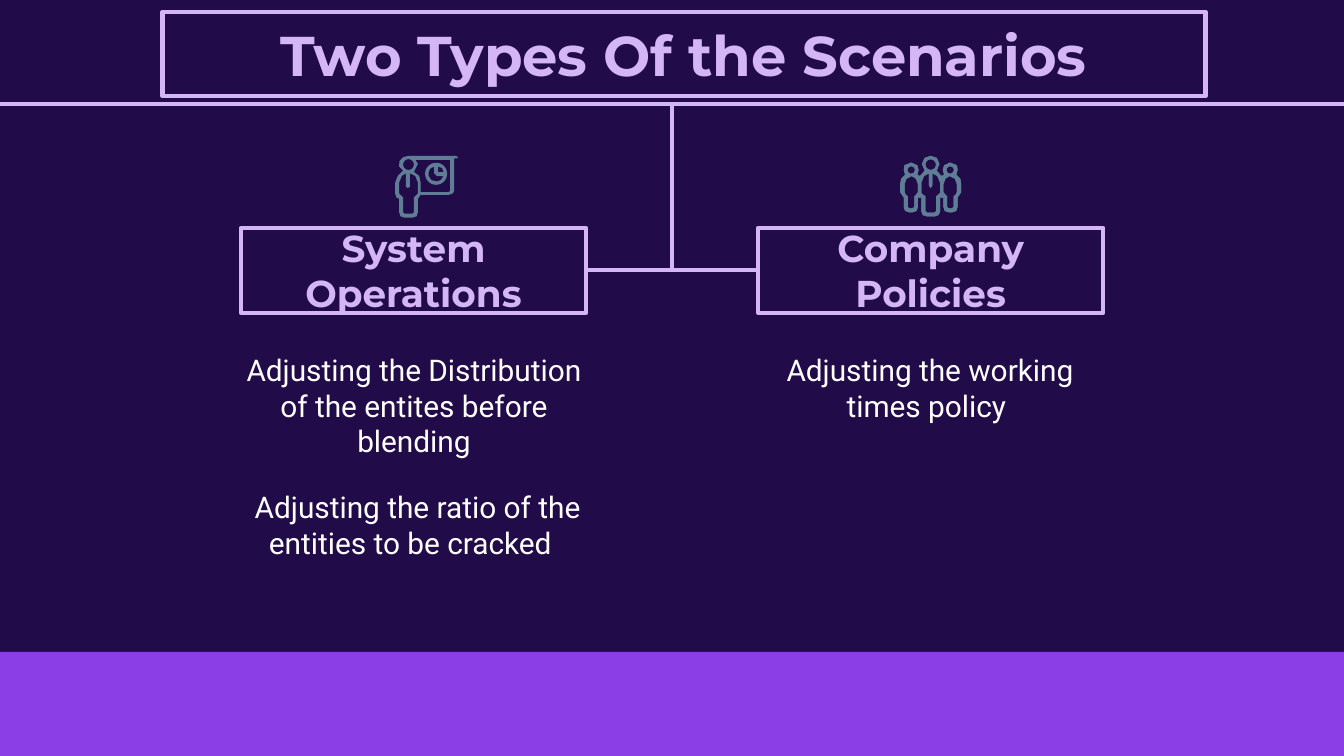
"""Build the slide on the two types of scenarios."""
from math import cos, pi, sin
from lxml.etree import SubElement
from pptx import Presentation
from pptx.dml.color import RGBColor
from pptx.enum.shapes import MSO_CONNECTOR, MSO_SHAPE
from pptx.enum.text import MSO_ANCHOR, PP_ALIGN
from pptx.oxml.ns import qn
from pptx.util import Inches, Pt

NIGHT = RGBColor(0x22, 0x0B, 0x49)
LILAC = RGBColor(0xD4, 0xB6, 0xF6)
VIOLET = RGBColor(0x8C, 0x3E, 0xE6)
SLATE = RGBColor(0x5F, 0x7D, 0x95)
WHITE = RGBColor(0xFF, 0xFF, 0xFF)

deck = Presentation()
deck.slide_width = Inches(10)
GRID = deck.slide_width // 100
deck.slide_height = int(56.25 * GRID)
slide = deck.slides.add_slide(deck.slide_layouts[6])
slide.background.fill.solid()
slide.background.fill.fore_color.rgb = NIGHT
shapes = slide.shapes


def write(cell, *paragraphs, font="Montserrat", size=20, color=LILAC, bold=True,
          anchor=MSO_ANCHOR.MIDDLE, gap=0, framed=True):
    """Write centred paragraphs in a cell of the grid, framed or plain."""
    place = [int(n * GRID) for n in cell]
    if framed:
        block = shapes.add_shape(MSO_SHAPE.RECTANGLE, *place)
        block.shadow.inherit = False
        block.fill.solid()
        block.fill.fore_color.rgb = NIGHT
        block.line.color.rgb = LILAC
        block.line.width = Pt(2.25)
    else:
        block = shapes.add_textbox(*place)
    frame = block.text_frame
    frame.word_wrap = True
    frame.vertical_anchor = anchor
    frame.margin_left = frame.margin_right = GRID
    frame.margin_top = frame.margin_bottom = GRID
    frame.text = "\n".join(paragraphs)
    for paragraph in frame.paragraphs:
        paragraph.alignment = PP_ALIGN.CENTER
        paragraph.space_after = Pt(gap)
        paragraph.font.name = font
        paragraph.font.size = Pt(size)
        paragraph.font.bold = bold
        paragraph.font.color.rgb = color


def draw_icon(silhouette, *holes, center=0, flip=1):
    """Fill a silhouette and cut holes in it; each is a point list or circle (x, y, radius)."""
    path_builder = None
    for contour in (silhouette, *holes):
        if isinstance(contour, tuple):
            x, y, radius = contour
            turns = [2 * pi * step / 32 for step in range(32)]
            contour = [(x + radius * cos(t), y + radius * sin(t)) for t in turns]
        start, *rest = [((center + flip * x) * GRID, y * GRID) for x, y in contour]
        if path_builder is None:
            path_builder = shapes.build_freeform(*start)
        else:
            path_builder.move_to(*start)
        path_builder.add_line_segments(rest, close=True)
    icon = path_builder.convert_to_shape()
    icon.shadow.inherit = False
    icon.fill.solid()
    icon.fill.fore_color.rgb = SLATE
    icon.line.fill.background()


for branch in [(50, 20.08, 50, 7.75), (0, 7.75, 100, 7.75), (43.6, 20.08, 56.4, 20.08)]:
    link = shapes.add_connector(MSO_CONNECTOR.STRAIGHT, *[int(n * GRID) for n in branch])
    link.line.color.rgb = LILAC
    link.line.width = Pt(2.25)
    SubElement(link.element.spPr, qn("a:effectLst"))

footer = shapes.add_shape(MSO_SHAPE.RECTANGLE, 0, int(48.5 * GRID),
                          deck.slide_width, int(7.75 * GRID))
footer.shadow.inherit = False
footer.fill.solid()
footer.fill.fore_color.rgb = VIOLET
footer.line.fill.background()

scenarios = [
    (17.92, 16.7, "System Operations",
     ["Adjusting the Distribution of the entites before blending",
      " Adjusting the ratio of the entities to be cracked "]),
    (56.4, 55.1, "Company Policies", ["Adjusting the working times policy "]),
]
for heading_left, body_left, heading, adjustments in scenarios:
    write((heading_left, 16.97, 25.7, 6.3), heading)
    write((body_left, 25.15, 28.2, 18.4), *adjustments, font="Roboto", size=16,
          color=WHITE, bold=False, anchor=MSO_ANCHOR.TOP, gap=16, framed=False)

write((12.1, 0.88, 77.6, 6.3), "Two Types Of the Scenarios", size=30)

presenter = [
    (30.4, 11.6), (30, 11.7), (29.72, 12), (29.7, 12.4), (30, 12.7), (29.6, 13.1),
    (29.4, 13.6), (29.4, 14.4), (29.5, 14.7), (29.7, 14.8), (29.7, 15.8), (29.8, 16.1),
    (30.1, 16.2), (30.7, 16.2), (31, 16.1), (31.1, 15.8), (31.1, 14.8), (31.3, 14.5),
    (33.4, 14.5), (33.7, 14.4), (33.8, 14.2), (33.8, 11.8), (34, 11.8), (34.1, 11.7),
    (33.9, 11.6)]
board = [
    (33.5, 11.9), (33.5, 14.2), (33.4, 14.3), (31.3, 14.3), (31.3, 13.6), (31.2, 13.1),
    (30.8, 12.8), (31.1, 12.2), (30.9, 11.9)]
suit = [
    (30.5, 12.9), (30.9, 13.1), (31.1, 13.6), (31.1, 14.4), (30.9, 14.6), (30.8, 14.7),
    (30.8, 15.8), (30.7, 15.9), (30.1, 15.9), (30, 15.8), (30, 14.7), (29.9, 14.6),
    (29.7, 14.4), (29.7, 13.6), (29.9, 13.1), (30.2, 12.9), (30.2, 13.9), (30.35, 14),
    (30.5, 13.9)]
draw_icon(presenter, (30.4, 12.25, 0.4), board, suit)

pie_slice = [(32.6, 12.4), (32.9, 12.5), (33, 12.8), (32.6, 12.8)]
pie_rest = [
    (32.3, 12.4), (32.3, 12.9), (32.5, 13.1), (33, 13.1), (32.8, 13.4), (32.5, 13.5),
    (32.1, 13.4), (31.9, 13.1), (31.9, 12.8), (32, 12.55)]
draw_icon((32.45, 12.93, 0.82), pie_slice, pie_rest)

half_crowd = [
    (0, 11.6), (0.45, 11.75), (0.65, 12.2), (0.45, 12.7), (0.8, 13.1), (1, 13),
    (0.9, 12.65), (1, 12.3), (1.45, 12.1), (1.95, 12.3), (2, 12.65), (1.9, 13),
    (2.2, 13.3), (2.27, 13.7), (2.27, 14.3), (2, 14.7), (2, 15.4), (1.9, 15.7),
    (1.6, 15.8), (1.35, 15.8), (1.05, 15.7), (0.95, 15.4), (0.95, 14.7), (0.7, 14.7),
    (0.7, 15.7), (0.6, 16), (0.3, 16.1)]
half_leader = [
    (0.13, 12.9), (0.5, 13.1), (0.7, 13.6), (0.7, 14.35), (0.55, 14.5), (0.4, 14.6),
    (0.4, 15.7), (0.28, 15.83)]
member = [
    (1.4, 13.1), (1.8, 13.3), (1.95, 13.7), (1.95, 14.3), (1.85, 14.5), (1.7, 14.6),
    (1.7, 15.4), (1.6, 15.5), (1.35, 15.5), (1.22, 15.4), (1.22, 14.6), (1.1, 14.5),
    (0.95, 14.3), (0.95, 13.7), (1.1, 13.3)]
crowd, leader = [half + [(-x, y) for x, y in reversed(half)]
                 for half in (half_crowd, half_leader)]
tie = [(-0.13, 13.8), (0, 14), (0.13, 13.8)]
for flip in (1, -1):
    draw_icon(crowd, (0, 12.25, 0.39), (1.45, 12.65, 0.27), (-1.45, 12.65, 0.27),
              leader + tie, member, [(-x, y) for x, y in member],
              center=69.25, flip=flip)

deck.save("out.pptx")
